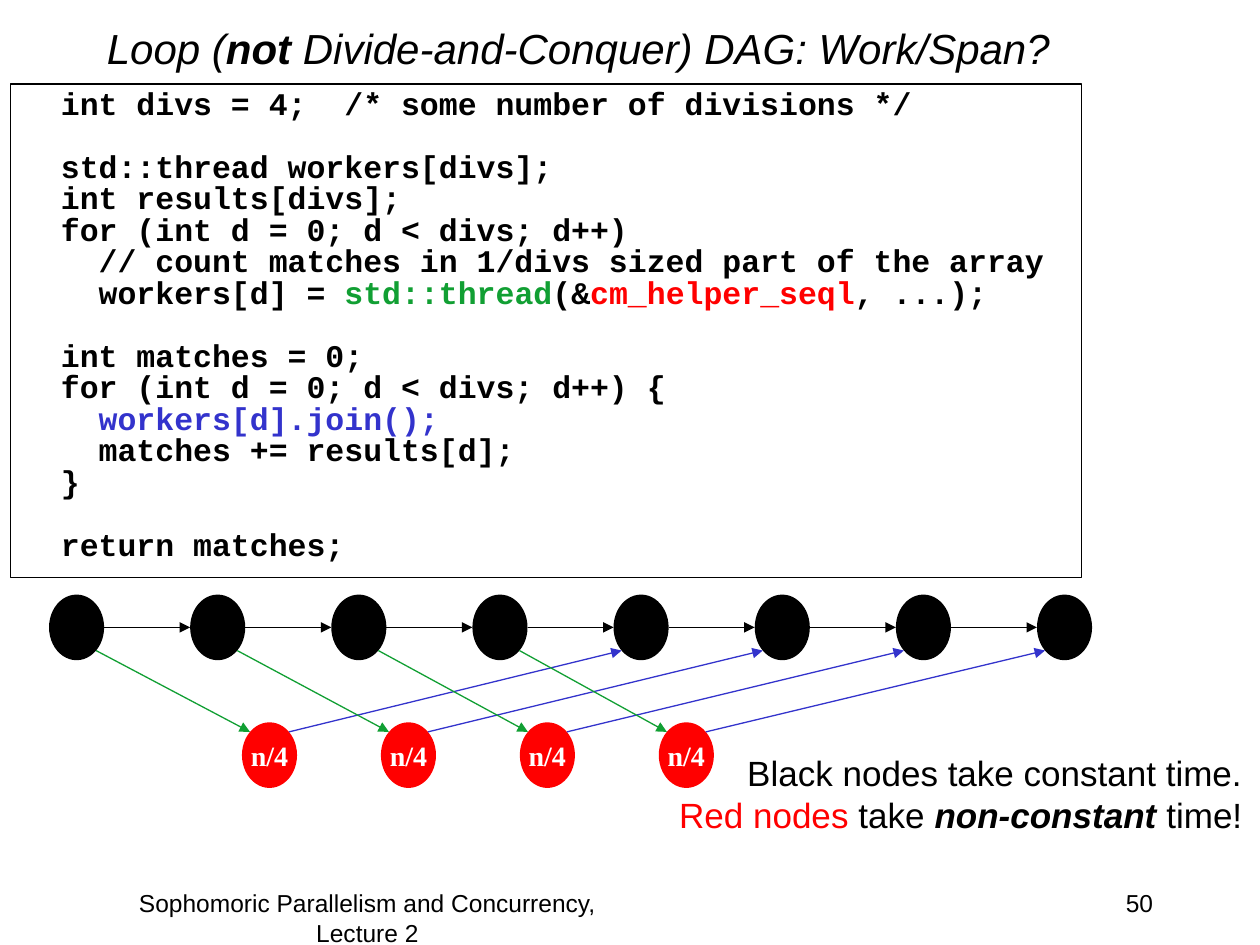
from dataclasses import dataclass
from math import sqrt

from lxml import etree
from pptx import Presentation
from pptx.dml.color import RGBColor
from pptx.enum.shapes import MSO_CONNECTOR, MSO_SHAPE
from pptx.enum.text import MSO_ANCHOR, PP_ALIGN
from pptx.oxml.ns import qn
from pptx.util import Pt

LEFT, CENTER, RIGHT = PP_ALIGN.LEFT, PP_ALIGN.CENTER, PP_ALIGN.RIGHT
TOP, MIDDLE = MSO_ANCHOR.TOP, MSO_ANCHOR.MIDDLE
OVAL, RECTANGLE = MSO_SHAPE.OVAL, MSO_SHAPE.RECTANGLE
STRAIGHT = MSO_CONNECTOR.STRAIGHT


@dataclass(frozen=True)
class Theme:
    black: RGBColor = RGBColor(0x00, 0x00, 0x00)
    white: RGBColor = RGBColor(0xFF, 0xFF, 0xFF)
    red: RGBColor = RGBColor(0xFF, 0x00, 0x00)
    green: RGBColor = RGBColor(0x11, 0x9F, 0x33)
    blue: RGBColor = RGBColor(0x33, 0x33, 0xCC)
    sans: str = "Arial"
    mono: str = "Courier New"
    serif: str = "Times New Roman"
    title: int = 24
    notes: int = 20
    code: int = 18
    node: int = 16
    footer: int = 14
    line: float = 0.75


THEME = Theme()

# A paragraph is a list of runs: text, then the font settings that differ.
TITLE = [[("Loop (", {}), ("not", {"bold": True}),
          (" Divide-and-Conquer) DAG: Work/Span?", {})]]
FOOTER = [[("Sophomoric Parallelism and Concurrency, Lecture 2", {})]]
SLIDE_NUMBER = [[("50", {})]]
NOTES = [
    [("Black nodes take constant time.", {})],
    [("Red nodes ", {"color": THEME.red}), ("take ", {}),
     ("non-constant", {"bold": True, "italic": True}), (" time!", {})],
]
# Each block of code is set off from the one before by one line of space.
CODE_BLOCKS = [
    [[("int divs = 4;  /* some number of divisions */", {})]],
    [
        [("std::thread workers[divs];", {})],
        [("int results[divs];", {})],
        [("for (int d = 0; d < divs; d++)", {})],
        [("  // count matches in 1/divs sized part of the array", {})],
        [("  workers[d] = ", {}), ("std::thread", {"color": THEME.green}),
         ("(&", {}), ("cm_helper_seql", {"color": THEME.red}), (", ...);", {})],
    ],
    [
        [("int matches = 0;", {})],
        [("for (int d = 0; d < divs; d++) {", {})],
        [("  workers[d].join();", {"color": THEME.blue})],
        [("  matches += results[d];", {})],
        [("}", {})],
    ],
    [[("return matches;", {})]],
]
NODE_LABEL = [[("n/4", {})]]

# Places in points: left, top, width, height
TITLE_BOX = (54, -18, 612, 90)
CODE_BOX = (6, 48, 612, 282)
FOOTER_BOX = (48, 504, 324, 36)
NUMBER_BOX = (516, 504, 150, 36)
NOTES_BOX = (378.5, 426, 338.5, 55.7)
CODE_INDENT = 28.8

NODE_WIDTH, NODE_HEIGHT = 31.5, 37.5
MAIN_COUNT, MAIN_LEFT, MAIN_TOP, MAIN_PITCH = 8, 28, 339.75, 80.65
WORKER_COUNT, WORKER_LEFT, WORKER_TOP, WORKER_PITCH = 4, 138.25, 412.75, 79.4


def write(shape, paragraphs, font_name, size, color=THEME.black, align=LEFT,
          anchor=TOP, wrap=True, bold=False, italic=False):
    frame = shape.text_frame
    frame.word_wrap = wrap
    frame.vertical_anchor = anchor
    for index, runs in enumerate(paragraphs):
        paragraph = frame.paragraphs[0] if index == 0 else frame.add_paragraph()
        paragraph.alignment = align
        font = paragraph.font
        font.name, font.size, font.bold, font.italic = font_name, Pt(size), bold, italic
        font.color.rgb = color
        for text, changes in runs:
            run = paragraph.add_run()
            run.text = text
            run.font.color.rgb = changes.get("color", color)
            if "bold" in changes:
                run.font.bold = changes["bold"]
            if "italic" in changes:
                run.font.italic = changes["italic"]


def add_text(slide, box, paragraphs, size, **style):
    shape = slide.shapes.add_textbox(*map(Pt, box))
    write(shape, paragraphs, THEME.sans, size, **style)


def add_filled(slide, kind, box, color):
    shape = slide.shapes.add_shape(kind, *map(Pt, box))
    shape.shadow.inherit = False
    shape.fill.solid()
    shape.fill.fore_color.rgb = color
    shape.line.fill.background()
    return shape


def add_code(slide):
    shape = add_filled(slide, RECTANGLE, CODE_BOX, THEME.white)
    shape.line.color.rgb = THEME.black
    shape.line.width = Pt(THEME.line)
    lines = [line for block in CODE_BLOCKS for line in block]
    write(shape, lines, THEME.mono, THEME.code, bold=True)
    shape.text_frame.margin_left = Pt(CODE_INDENT)
    block_starts = [block[0] for block in CODE_BLOCKS[1:]]
    for line, paragraph in zip(lines, shape.text_frame.paragraphs):
        paragraph.line_spacing = Pt(THEME.code)
        if line in block_starts:
            paragraph.space_before = Pt(THEME.code)


def add_row(slide, count, left, top, pitch, color):
    return [add_filled(slide, OVAL, (left + i * pitch, top, NODE_WIDTH, NODE_HEIGHT), color)
            for i in range(count)]


def rim(node, across, down):
    """Point on the oval's rim in the direction (across, down), each -1, 0 or 1."""
    length = sqrt(across ** 2 + down ** 2)
    return (int(node.left + node.width / 2 * (1 + across / length)),
            int(node.top + node.height / 2 * (1 + down / length)))


def add_arrow(slide, start, end, color):
    arrow = slide.shapes.add_connector(STRAIGHT, *start, *end)
    arrow.line.color.rgb = color
    arrow.line.width = Pt(THEME.line)
    etree.SubElement(arrow.line._get_or_add_ln(), qn("a:tailEnd"), type="triangle")
    etree.SubElement(arrow._element.spPr, qn("a:effectLst"))


def add_graph(slide):
    main = add_row(slide, MAIN_COUNT, MAIN_LEFT, MAIN_TOP, MAIN_PITCH, THEME.black)
    workers = add_row(slide, WORKER_COUNT, WORKER_LEFT, WORKER_TOP, WORKER_PITCH, THEME.red)
    for worker in workers:
        write(worker, NODE_LABEL, THEME.serif, THEME.node, THEME.white,
              CENTER, MIDDLE, wrap=False, bold=True)
    for node, following in zip(main, main[1:]):
        add_arrow(slide, rim(node, 1, 0), rim(following, -1, 0), THEME.black)
    for fork, worker, join in zip(main, workers, main[WORKER_COUNT:]):
        add_arrow(slide, rim(fork, 1, 1), rim(worker, -1, -1), THEME.green)
        add_arrow(slide, rim(worker, 1, -1), rim(join, -1, 1), THEME.blue)


def main():
    presentation = Presentation()
    presentation.slide_width, presentation.slide_height = Pt(720), Pt(540)
    slide = presentation.slides.add_slide(presentation.slide_layouts[6])
    add_text(slide, TITLE_BOX, TITLE, THEME.title, anchor=MIDDLE, italic=True)
    add_text(slide, NUMBER_BOX, SLIDE_NUMBER, THEME.footer, align=RIGHT)
    add_text(slide, FOOTER_BOX, FOOTER, THEME.footer, align=CENTER)
    add_code(slide)
    add_graph(slide)
    add_text(slide, NOTES_BOX, NOTES, THEME.notes, align=RIGHT, wrap=False)
    presentation.save("out.pptx")


if __name__ == "__main__":
    main()
